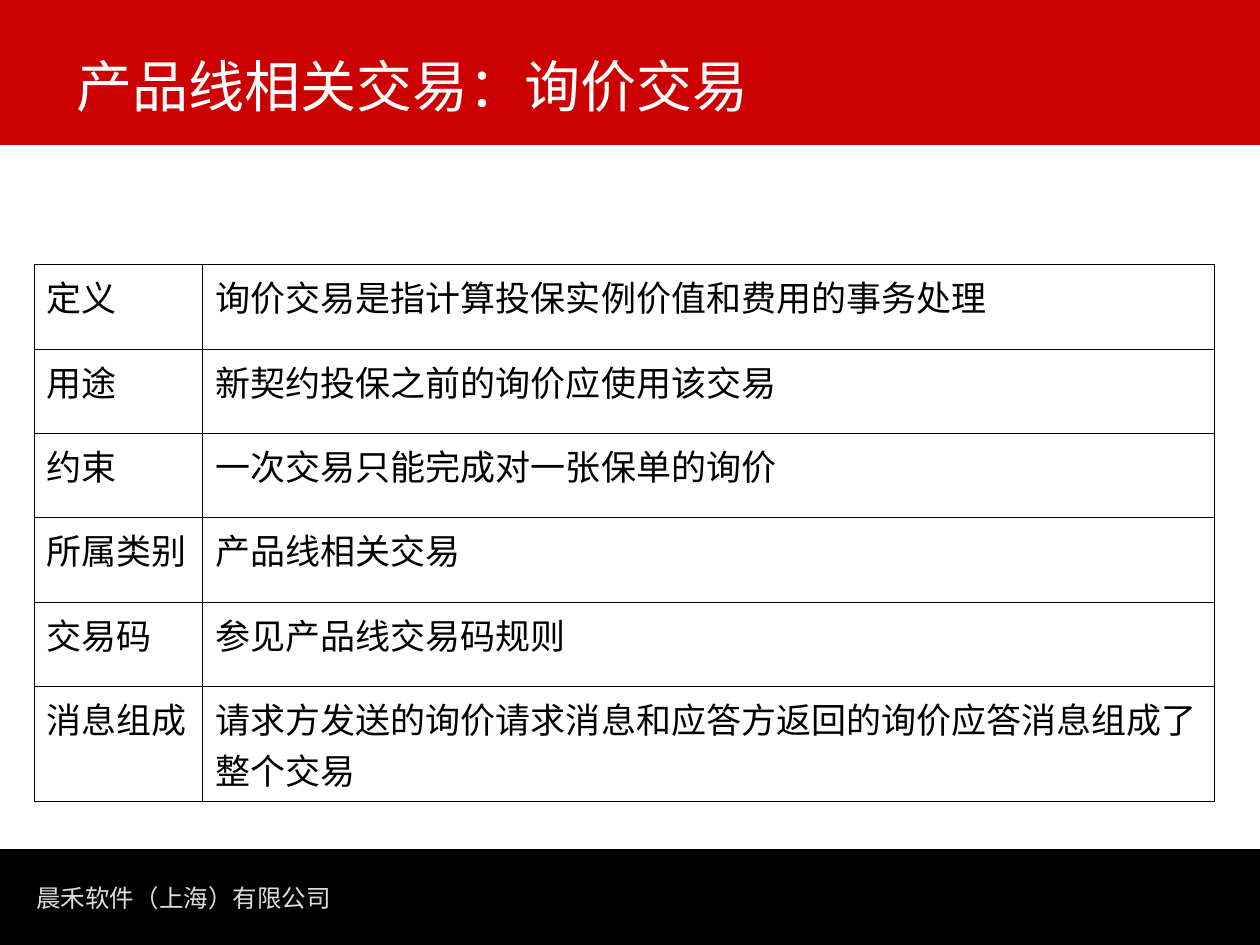
from lxml.etree import SubElement
from pptx import Presentation
from pptx.dml.color import RGBColor
from pptx.enum.shapes import MSO_SHAPE
from pptx.enum.text import MSO_ANCHOR, MSO_AUTO_SIZE
from pptx.oxml.ns import qn
from pptx.util import Inches, Pt

RED = RGBColor(0xCC, 0x00, 0x00)
BLACK = RGBColor(0x00, 0x00, 0x00)
WHITE = RGBColor(0xFF, 0xFF, 0xFF)
LIGHT_GRAY = RGBColor(0xDD, 0xDD, 0xDD)

TRANSACTION_ROWS = [
    ("定义", "询价交易是指计算投保实例价值和费用的事务处理"),
    ("用途", "新契约投保之前的询价应使用该交易"),
    ("约束", "一次交易只能完成对一张保单的询价"),
    ("所属类别", "产品线相关交易"),
    ("交易码", "参见产品线交易码规则"),
    ("消息组成", "请求方发送的询价请求消息和应答方返回的询价应答消息组成了整个交易"),
]


class SlideBuilder:
    cjk_font = "Noto Sans CJK SC"
    border_width = Pt(0.45)

    def __init__(self, slide):
        self.slide = slide

    def band(self, top, height, color, line_width=None):
        band = self.slide.shapes.add_shape(
            MSO_SHAPE.RECTANGLE, 0, Inches(top), Inches(10), Inches(height))
        band.shadow.inherit = False
        band.fill.solid()
        band.fill.fore_color.rgb = color
        if line_width:
            band.line.color.rgb = color
            band.line.width = Pt(line_width)
        else:
            band.line.fill.background()

    def run(self, frame, text, size, color, font=cjk_font):
        run = frame.paragraphs[0].add_run()
        run.text = text
        run.font.size = Pt(size)
        run.font.name = font
        run.font.color.rgb = color
        # Chinese characters take the East Asian typeface
        east_asian = SubElement(run.font._element, qn("a:ea"))
        east_asian.set("typeface", self.cjk_font)

    def text(self, left, top, width, height, wrap=True, anchor=MSO_ANCHOR.TOP):
        box = self.slide.shapes.add_textbox(
            Inches(left), Inches(top), Inches(width), Inches(height))
        frame = box.text_frame
        frame.word_wrap = wrap
        frame.vertical_anchor = anchor
        frame.auto_size = MSO_AUTO_SIZE.NONE if wrap else MSO_AUTO_SIZE.SHAPE_TO_FIT_TEXT
        return frame

    def border(self, cell):
        properties = cell._tc.get_or_add_tcPr()
        for position, side in enumerate(("lnL", "lnR", "lnT", "lnB")):
            line = SubElement(properties, qn(f"a:{side}"), w=str(self.border_width))
            fill = SubElement(line, qn("a:solidFill"))
            SubElement(fill, qn("a:srgbClr"), val=str(BLACK))
            properties.insert(position, line)

    def table(self, left, top, column_widths, row_heights, rows):
        table = self.slide.shapes.add_table(
            len(rows), len(column_widths), Inches(left), Inches(top),
            Inches(sum(column_widths)), Inches(sum(row_heights))).table
        table.first_row = table.horz_banding = False
        for column, width in zip(table.columns, column_widths):
            column.width = Inches(width)
        for row, height, texts in zip(table.rows, row_heights, rows):
            row.height = Inches(height)
            for cell, text in zip(row.cells, texts):
                cell.fill.background()
                self.border(cell)
                self.run(cell.text_frame, text, 20, BLACK)


def main():
    presentation = Presentation()
    presentation.slide_width = Inches(10)
    presentation.slide_height = Inches(7.5)
    builder = SlideBuilder(presentation.slides.add_slide(presentation.slide_layouts[6]))

    # Footer and header bands
    builder.band(6.74, 0.76, BLACK, line_width=0.75)
    builder.band(0, 1.15, RED)

    # Company name
    company = builder.text(0.19, 6.96, 2.54, 0.34, wrap=False)
    builder.run(company, "晨禾软件（上海）有限公司", 14, LIGHT_GRAY, "DejaVu Sans")

    # Title
    title = builder.text(0.51, 0.05, 8.75, 0.94, anchor=MSO_ANCHOR.BOTTOM)
    builder.run(title, "产品线相关交易：询价交易", 32, WHITE)

    # Transaction description; the last row holds two lines of text
    builder.table(0.27, 2.1, [1.34, 8.03], [0.67] * 5 + [0.91], TRANSACTION_ROWS)

    presentation.save("out.pptx")


if __name__ == "__main__":
    main()
